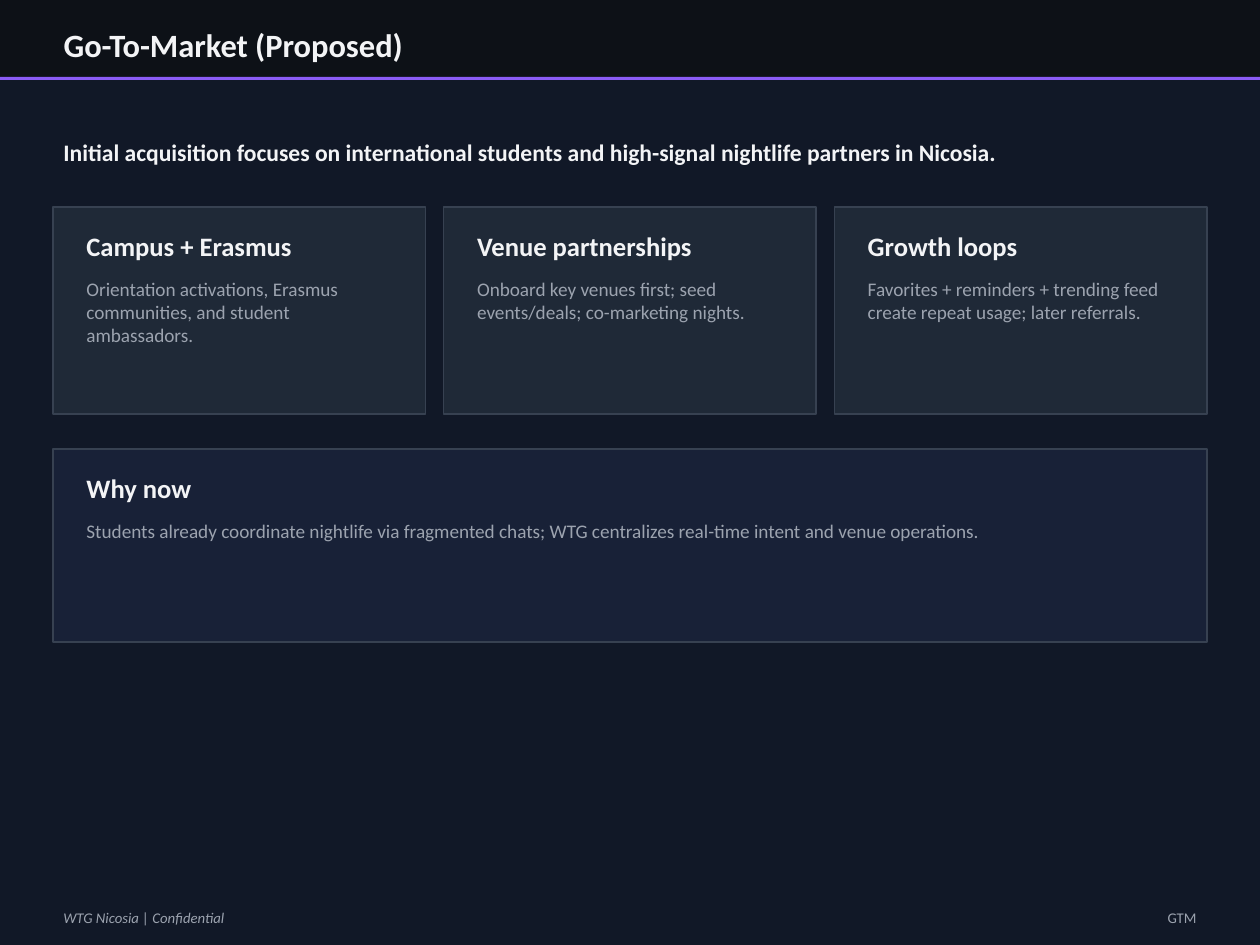
import pptx
import pptx.dml.color
import pptx.enum.shapes
import pptx.enum.text
import pptx.util

# Content
TITLE = "Go-To-Market (Proposed)"
LEAD = ("Initial acquisition focuses on international students and "
        "high-signal nightlife partners in Nicosia.")
CHANNELS = [
    ("Campus + Erasmus",
     "Orientation activations, Erasmus communities, and student ambassadors."),
    ("Venue partnerships",
     "Onboard key venues first; seed events/deals; co-marketing nights."),
    ("Growth loops",
     "Favorites + reminders + trending feed create repeat usage; later referrals."),
]
WHY_NOW = ("Why now",
           "Students already coordinate nightlife via fragmented chats; "
           "WTG centralizes real-time intent and venue operations.")
FOOTER = "WTG Nicosia | Confidential"
SECTION = "GTM"

# Look
FONT = "Calibri"
PAGE, HEADER, ACCENT = "111827", "0D1117", "8B5CF6"
CARD, WHY_CARD, BORDER = "1F2937", "182137", "374151"
BRIGHT, MUTED = "F3F4F6", "9CA3AF"

# Layout in px
WIDTH, HEIGHT = 1260, 945
MARGIN, GAP = 53, 18
CONTENT = WIDTH - 2 * MARGIN
CARD_WIDTH = (CONTENT - GAP * (len(CHANNELS) - 1)) / len(CHANNELS)
PAD_X, HEADING_Y, BODY_Y = 23, 18, 65
FOOTER_Y, FOOTER_HEIGHT = 903, 29
SECTION_WIDTH = 479

ALIGN = pptx.enum.text.PP_ALIGN


def px(length):
    return pptx.util.Emu(round(length * 914400 / 106.4))


def color(value):
    return pptx.dml.color.RGBColor.from_string(value)


def add_box(left, top, width, height, fill, border=None):
    box = slide.shapes.add_shape(pptx.enum.shapes.MSO_SHAPE.RECTANGLE,
                                 px(left), px(top), px(width), px(height))
    box.shadow.inherit = False
    box.fill.solid()
    box.fill.fore_color.rgb = color(fill)
    if border:
        box.line.color.rgb = color(border)
        box.line.width = pptx.util.Pt(1)
    else:
        box.line.fill.background()


def write(holder, text, size, ink, bold=False, italic=False, align=ALIGN.LEFT):
    frame = holder.text_frame
    frame.text = text
    frame.word_wrap = True
    frame.auto_size = pptx.enum.text.MSO_AUTO_SIZE.NONE
    frame.vertical_anchor = pptx.enum.text.MSO_ANCHOR.TOP
    paragraph = frame.paragraphs[0]
    paragraph.alignment = align
    font = paragraph.font
    font.name, font.size = FONT, pptx.util.Pt(size)
    font.bold, font.italic = bold, italic
    font.color.rgb = color(ink)


def add_text(left, top, width, height, *text, **style):
    holder = slide.shapes.add_textbox(px(left), px(top), px(width), px(height))
    write(holder, *text, **style)


def add_card(left, top, width, height, fill, heading, body):
    add_box(left, top, width, height, fill, BORDER)
    inner = left + PAD_X, width - 2 * PAD_X
    add_text(inner[0], top + HEADING_Y, inner[1], 43, heading, 18, BRIGHT, bold=True)
    add_text(inner[0], top + BODY_Y, inner[1], 81, body, 13, MUTED)


deck = pptx.Presentation()
deck.slide_width, deck.slide_height = px(WIDTH), px(HEIGHT)
slide = deck.slides.add_slide(deck.slide_layouts[5])
slide.background.fill.solid()
slide.background.fill.fore_color.rgb = color(PAGE)

# Header, with the title raised above its band
add_box(0, 0, WIDTH, 80, HEADER)
add_box(0, 77, WIDTH, 3, ACCENT)
title = slide.shapes.title
title.left, title.top, title.width, title.height = map(px, (MARGIN, 20, CONTENT, 50))
write(title, TITLE, 22, BRIGHT, bold=True)
title.element.getparent().append(title.element)

# Lead sentence
add_text(MARGIN, 133, CONTENT, 39, LEAD, 16, BRIGHT, bold=True)

# Cards
for index, (heading, body) in enumerate(CHANNELS):
    add_card(MARGIN + index * (CARD_WIDTH + GAP), 207, CARD_WIDTH, 207,
             CARD, heading, body)
add_card(MARGIN, 449, CONTENT, 193, WHY_CARD, *WHY_NOW)

# Footer
add_text(MARGIN, FOOTER_Y, 592, FOOTER_HEIGHT, FOOTER, 10, MUTED, italic=True)
add_text(WIDTH - MARGIN - SECTION_WIDTH, FOOTER_Y, SECTION_WIDTH, FOOTER_HEIGHT,
         SECTION, 10, MUTED, align=ALIGN.RIGHT)

deck.save("out.pptx")
